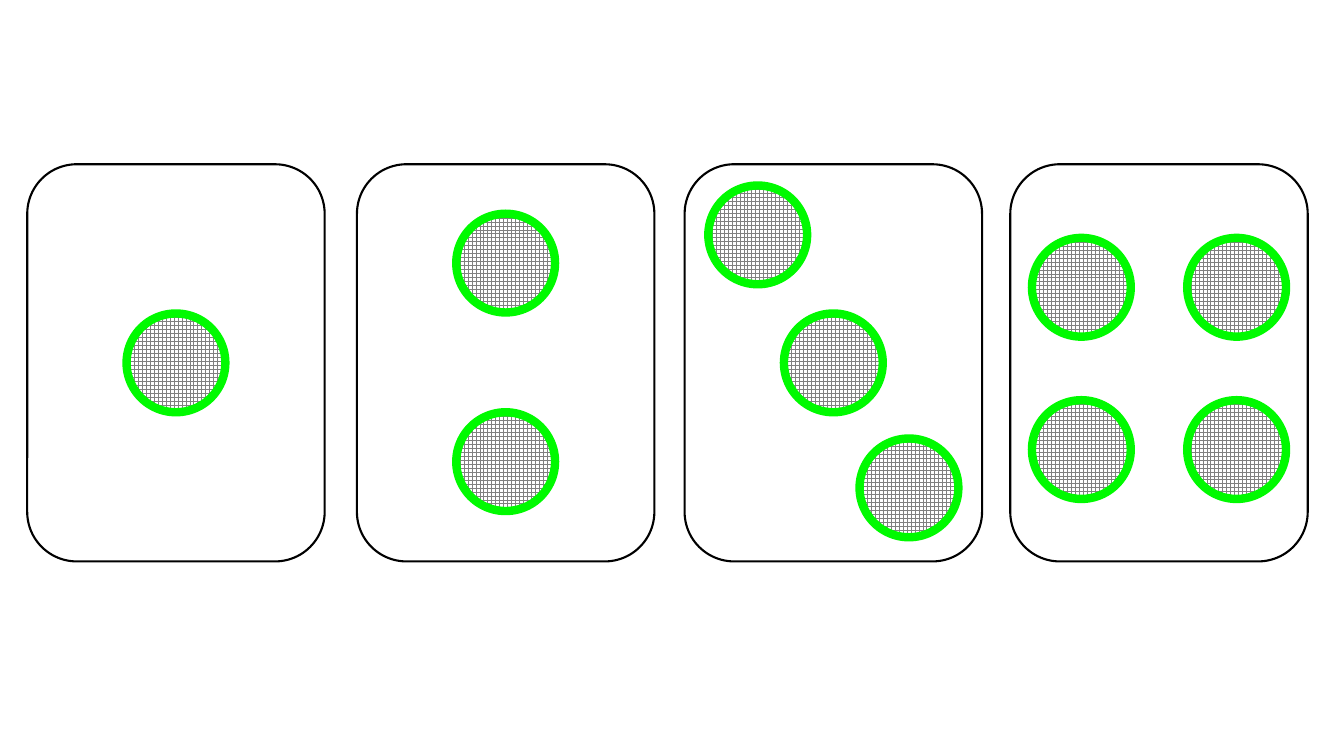
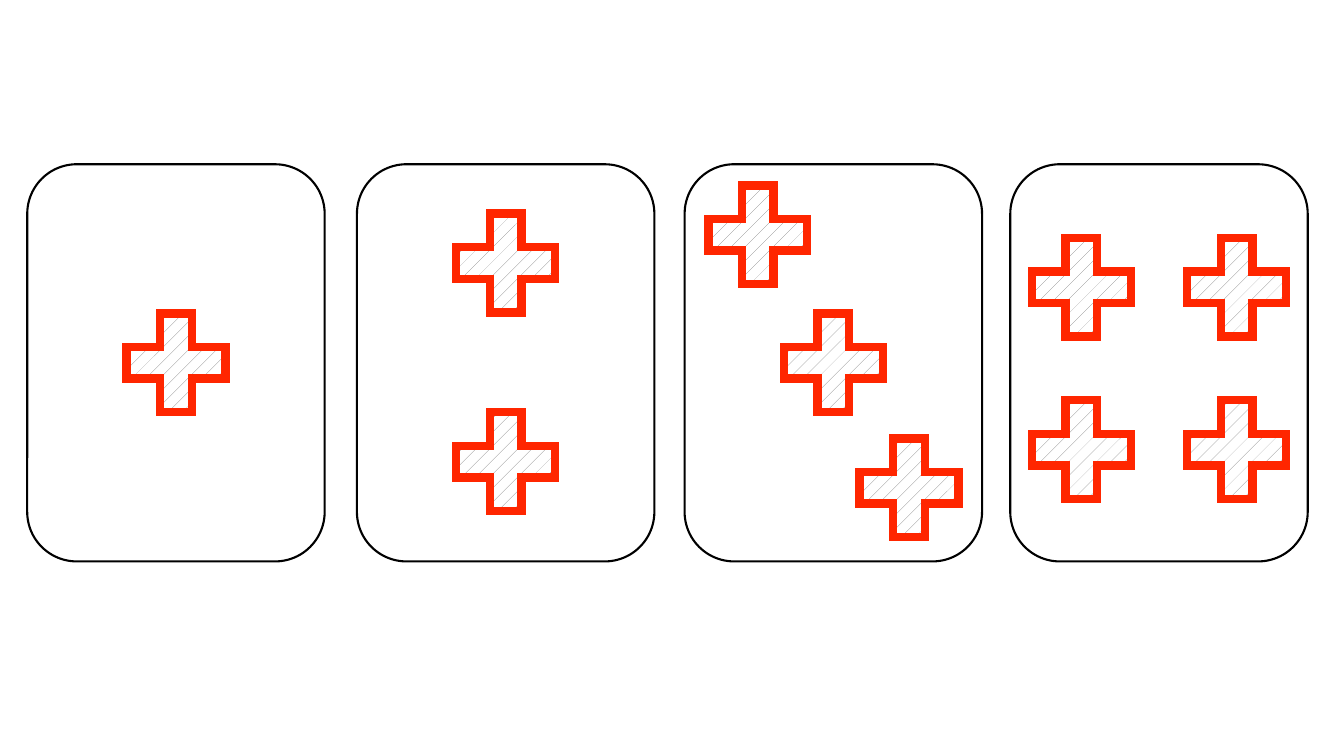
from dataclasses import dataclass

from lxml import etree
from pptx import Presentation
from pptx.dml.color import RGBColor
from pptx.enum.dml import MSO_PATTERN
from pptx.enum.shapes import MSO_SHAPE
from pptx.oxml.ns import qn
from pptx.util import Inches, Pt

ROUNDED = MSO_SHAPE.ROUNDED_RECTANGLE
CIRCLE = MSO_SHAPE.OVAL
CROSS = MSO_SHAPE.CROSS
GRID = MSO_PATTERN.LARGE_GRID
DOTS = MSO_PATTERN.PERCENT_5

CARD_TOP, CARD_WIDTH, CARD_HEIGHT = 1.63, 2.95, 3.94
MARK_SIZE = 0.98
CROSS_ARM = 0.34

# Left edge of each card, with its marks as offsets from the card centre
CARDS = [
    (0.27, [(0, 0)]),
    (3.54, [(0, -0.99), (0, 0.98)]),
    (6.79, [(-0.75, -1.27), (0, 0), (0.75, 1.24)]),
    (10.02, [(x, y) for y in (-0.75, 0.86) for x in (-0.77, 0.77)]),
]


@dataclass(frozen=True)
class Theme:
    paper: RGBColor = RGBColor.from_string("FFFFFF")
    ink: RGBColor = RGBColor.from_string("000000")
    pattern: RGBColor = RGBColor.from_string("808080")
    green: RGBColor = RGBColor.from_string("00FA00")
    red: RGBColor = RGBColor.from_string("FF2600")
    card_line: float = 1.5
    mark_line: float = 6


class CardDeck:
    def __init__(self, theme):
        self.theme = theme
        self.deck = Presentation()
        self.deck.slide_width = Inches(13.33)
        self.deck.slide_height = Inches(7.5)
        self.page = None

    def new_page(self):
        self.page = self.deck.slides.add_slide(self.deck.slide_layouts[6])

    def outline(self, kind, centre, size, color, weight):
        """Add a shape around a centre point, with a sharp-cornered line."""
        (x, y), (width, height) = centre, size
        shape = self.page.shapes.add_shape(
            kind, Inches(x - width / 2), Inches(y - height / 2),
            Inches(width), Inches(height))
        shape.shadow.inherit = False
        shape.line.color.rgb = color
        shape.line.width = Pt(weight)
        line = shape.line._get_or_add_ln()
        etree.SubElement(line, qn("a:miter"), lim="800000")
        return shape

    def card(self, centre):
        shape = self.outline(ROUNDED, centre, (CARD_WIDTH, CARD_HEIGHT),
                             self.theme.ink, self.theme.card_line)
        shape.fill.solid()
        shape.fill.fore_color.rgb = self.theme.paper

    def mark(self, kind, centre, color, pattern):
        shape = self.outline(kind, centre, (MARK_SIZE, MARK_SIZE),
                             color, self.theme.mark_line)
        shape.fill.patterned()
        shape.fill.pattern = pattern
        shape.fill.fore_color.rgb = self.theme.pattern
        shape.fill.back_color.rgb = self.theme.paper
        if kind == CROSS:
            shape.adjustments[0] = CROSS_ARM

    def card_page(self, kind, color, pattern):
        """Lay out the cards for one to four marks on a new page."""
        self.new_page()
        middle = CARD_TOP + CARD_HEIGHT / 2
        for left, offsets in CARDS:
            center = left + CARD_WIDTH / 2
            self.card((center, middle))
            for across, down in offsets:
                self.mark(kind, (center + across, middle + down), color, pattern)


def main():
    theme = Theme()
    cards = CardDeck(theme)
    cards.card_page(CIRCLE, theme.green, GRID)
    cards.card_page(CROSS, theme.red, DOTS)
    cards.deck.save("out.pptx")


if __name__ == "__main__":
    main()
